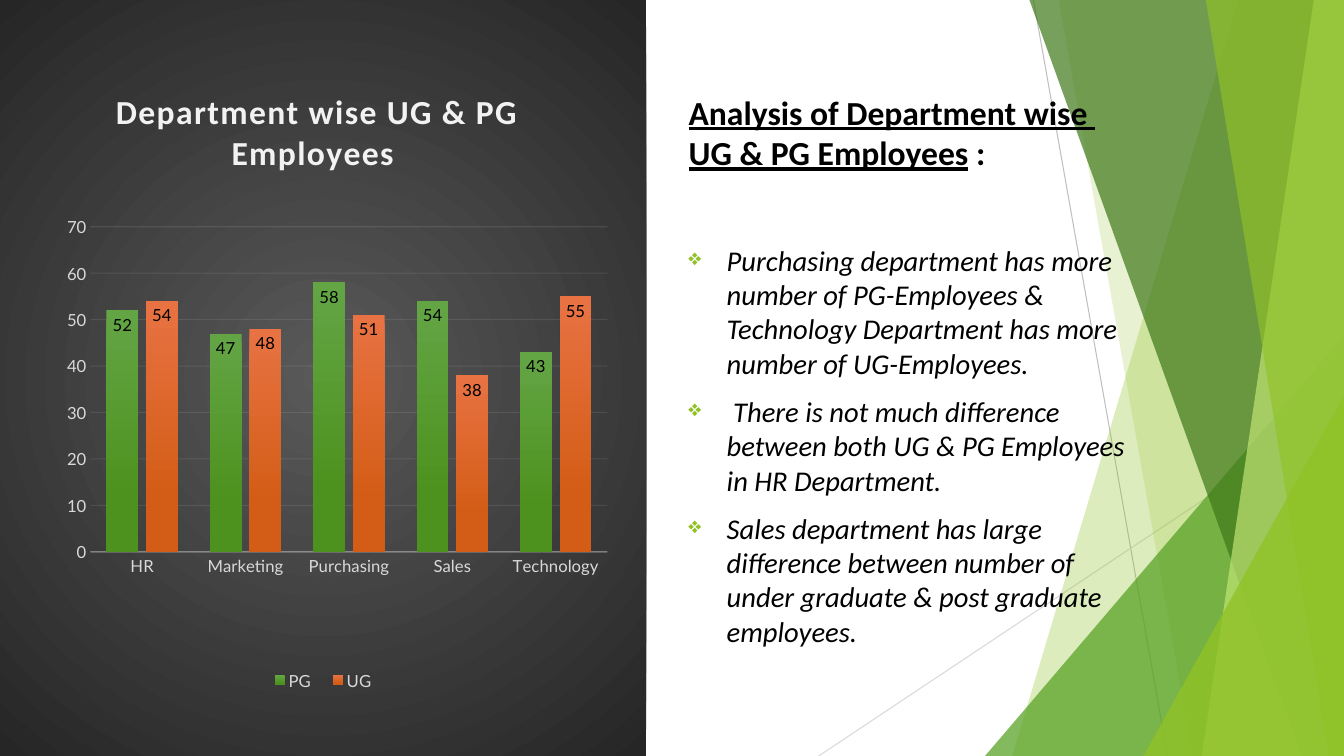
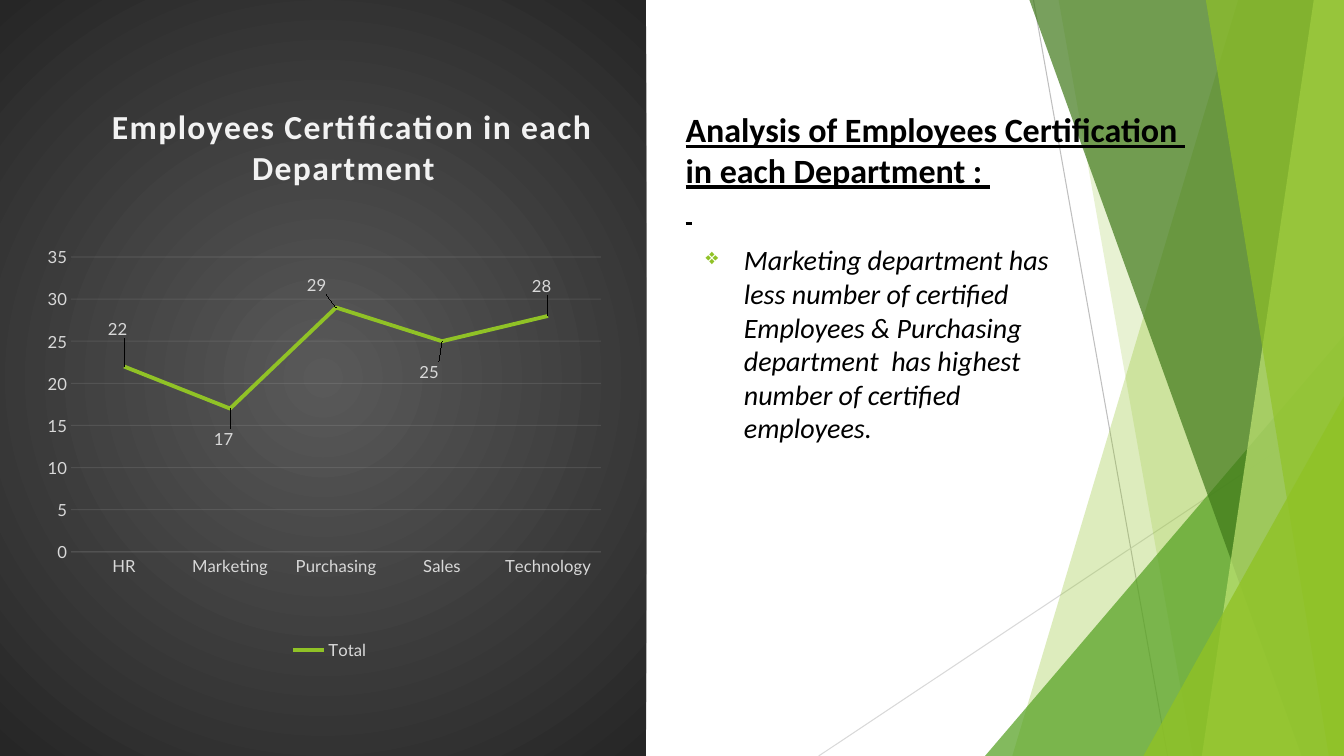
from dataclasses import dataclass

from pptx import Presentation
from pptx.chart.data import CategoryChartData
from pptx.dml.color import RGBColor
from pptx.enum.chart import XL_CHART_TYPE, XL_LABEL_POSITION, XL_LEGEND_POSITION, XL_TICK_MARK
from pptx.enum.shapes import MSO_CONNECTOR, MSO_SHAPE
from pptx.enum.text import MSO_ANCHOR, MSO_AUTO_SIZE, PP_ALIGN
from pptx.oxml import parse_xml
from pptx.oxml.ns import nsdecls, qn
from pptx.util import Inches, Pt

WIDE, HIGH = 13.33, 7.5
BLACK = RGBColor(0x00, 0x00, 0x00)
PALE = RGBColor(0xF2, 0xF2, 0xF2)
SILVER = RGBColor(0xD9, 0xD9, 0xD9)
GREY = RGBColor(0xBF, 0xBF, 0xBF)
LIME = RGBColor(0x90, 0xC2, 0x26)
LEAF = RGBColor(0x54, 0xA0, 0x21)
PINE = RGBColor(0x3F, 0x78, 0x19)
MINT = RGBColor(0xC0, 0xE4, 0x74)
SLATE = RGBColor(0x59, 0x59, 0x59)
COAL = RGBColor(0x26, 0x26, 0x26)
GREENS = (RGBColor(0x63, 0xA5, 0x45), RGBColor(0x4D, 0x92, 0x1E))
RUSTS = (RGBColor(0xE8, 0x72, 0x42), RGBColor(0xD3, 0x5D, 0x16))

TEXT_FONT, CHART_FONT = "Calibri", "Lato"
LABEL_SIZE = 11.9
TEAMS = ("HR", "Marketing", "Purchasing", "Sales", "Technology")


@dataclass
class Band:
    """Strip from a slanted left edge to the right side of the slide."""
    top: float
    base: float
    color: RGBColor
    alpha: int


@dataclass
class Wedge:
    """Right triangle in the lower right corner."""
    left: float
    top: float
    color: RGBColor
    alpha: int


@dataclass
class Ray:
    start: tuple[float, float]
    end: tuple[float, float]
    color: RGBColor


@dataclass
class Graph:
    kind: XL_CHART_TYPE
    title: str
    series: dict[str, tuple[int, ...]]
    top: int
    step: int
    title_at: tuple[float, float]
    plot_at: tuple[float, float, float, float]
    key_at: tuple[float, float, float, float]
    base_alpha: int


RAYS = (Ray((10.25, 0), (11.58, HIGH), GREY), Ray((WIDE, 4.03), (8.12, HIGH), SILVER))
DECOR = (
    Band(12.28, 10.04, LIME, 30),
    Band(10.5, 11.83, LIME, 20),
    Wedge(9.77, 3.33, LEAF, 72),
    Band(10.21, 12.91, PINE, 70),
    Band(13.03, 11.92, MINT, 70),
    Band(11.96, 13.18, LIME, 65),
    Wedge(11.34, 3.93, LIME, 80),
)
DEGREES = Graph(
    XL_CHART_TYPE.COLUMN_CLUSTERED, "Department wise UG & PG Employees ",
    {"PG": (52, 47, 58, 54, 43), "UG": (54, 48, 51, 38, 55)}, 70, 10,
    (0.17, 0.11), (0.14, 0.3, 0.8, 0.43), (0.4, 0.88, 0.2, 0.04), 54)
CERTS = Graph(
    XL_CHART_TYPE.LINE, " Employees Certification in each Department ",
    {"Total": (22, 17, 29, 25, 28)}, 35, 5,
    (0.15, 0.13), (0.11, 0.34, 0.82, 0.39), (0.43, 0.84, 0.16, 0.04), 10)
SHIFTS = ((-0.01, -0.05), (-0.01, 0.04), (-0.03, -0.03), (-0.02, 0.04), (-0.01, -0.04))


def fade(node, route: str, alpha: int) -> None:
    """Set the opacity, in percent, of the colours found under node."""
    for color in node.xpath(f"{route}//a:srgbClr"):
        color.append(parse_xml(f'<a:alpha {nsdecls("a")} val="{alpha * 1000}"/>'))


def place(node, spot: int, box: tuple, mode: str = "edge", inner: bool = False) -> None:
    """Give a chart part a manual layout, as child number spot."""
    for old in node.findall(qn("c:layout")):
        node.remove(old)
    target = '<c:layoutTarget val="inner"/>' if inner else ""
    sides = "".join(f'<c:{side} val="{size}"/>' for side, size in zip("xywh", box))
    node.insert(spot, parse_xml(
        f'<c:layout {nsdecls("c")}><c:manualLayout>{target}<c:xMode val="{mode}"/>'
        f'<c:yMode val="{mode}"/>{sides}</c:manualLayout></c:layout>'))


def style(font, size: float, color: RGBColor, name: str = CHART_FONT) -> None:
    font.name, font.size = name, Pt(size)
    font.color.rgb = color


def write(para, text: str, *, size: float, color: RGBColor = BLACK, bold: bool = False,
          italic: bool = False, under: bool = False, track: int = 0) -> None:
    """Add text to a paragraph; a newline becomes a line break."""
    for row, line in enumerate(text.split("\n")):
        if row:
            para.add_line_break()
        if not line:
            continue
        run = para.add_run()
        run.text = line
        style(run.font, size, color, TEXT_FONT)
        run.font.bold, run.font.italic, run.font.underline = bold, italic, under
        if track:
            run.font._element.set("spc", str(track))


def draw_decor(slide, layout) -> None:
    """Draw the green facets and move them to the layout all slides share."""
    parts = []
    for ray in RAYS:
        line = slide.shapes.add_connector(
            MSO_CONNECTOR.STRAIGHT, *map(Inches, ray.start + ray.end))
        line.line.color.rgb, line.line.width = ray.color, Pt(0.75)
        line._element.spPr.append(parse_xml(f'<a:effectLst {nsdecls("a")}/>'))
        parts.append(line)
    for item in DECOR:
        if isinstance(item, Band):
            pen = slide.shapes.build_freeform(Inches(item.top), 0)
            pen.add_line_segments([(Inches(x), Inches(y)) for x, y in (
                (WIDE, 0), (WIDE, HIGH), (item.base, HIGH))])
            shape = pen.convert_to_shape()
        else:
            shape = slide.shapes.add_shape(
                MSO_SHAPE.ISOSCELES_TRIANGLE, Inches(item.left), Inches(item.top),
                Inches(WIDE - item.left), Inches(HIGH - item.top))
            shape.adjustments[0] = 1
        shape.shadow.inherit = False
        shape.fill.solid()
        shape.fill.fore_color.rgb = item.color
        shape.line.fill.background()
        fade(shape._element, "p:spPr/a:solidFill", item.alpha)
        parts.append(shape)
    for rank, part in enumerate(parts):
        part._element.xpath(".//p:cNvPr")[0].set("id", str(100 + rank))
        layout.shapes._spTree.insert(2 + rank, part._element)


def set_title(slide, left: float, top: float, width: float):
    """Place the title and return its paragraph."""
    title = slide.shapes.title
    title.left, title.top = Inches(left), Inches(top)
    title.width, title.height = Inches(width), Inches(0.94)
    frame = title.text_frame
    frame.auto_size, frame.word_wrap = MSO_AUTO_SIZE.NONE, True
    frame.vertical_anchor = MSO_ANCHOR.TOP
    para = frame.paragraphs[0]
    para.alignment = PP_ALIGN.LEFT
    return para


def add_points(slide, left: float, width: float, height: float, size: float,
               points: tuple[str, ...]) -> None:
    box = slide.shapes.add_textbox(Inches(left), Inches(2.36), Inches(width), Inches(height))
    frame = box.text_frame
    frame.word_wrap = True
    for rank, point in enumerate(points):
        para = frame.add_paragraph() if rank else frame.paragraphs[0]
        para.space_after = Pt(10)
        props = para._p.get_or_add_pPr()
        props.set("marL", str(Inches(0.38)))
        props.set("indent", str(-Inches(0.38)))
        for mark in (f'buClr {nsdecls("a")}><a:srgbClr val="{LIME}"/></a:buClr',
                     f'buSzPct {nsdecls("a")} val="80000"/',
                     f'buChar {nsdecls("a")} char="❖"/'):
            props.append(parse_xml(f"<a:{mark}>"))
        write(para, point, size=size, italic=True)


def add_graph(slide, graph: Graph):
    """Add the dark chart panel on the left and return its chart."""
    data = CategoryChartData()
    data.categories = TEAMS
    for name, values in graph.series.items():
        data.add_series(name, values)
    chart = slide.shapes.add_chart(
        graph.kind, 0, 0, Inches(6.41), Inches(HIGH), data).chart
    style(chart.font, LABEL_SIZE, SILVER)
    chart._chartSpace.chart.addnext(parse_xml(
        f'<c:spPr {nsdecls("c", "a")}><a:gradFill><a:gsLst>'
        f'<a:gs pos="0"><a:srgbClr val="{SLATE}"/></a:gs>'
        f'<a:gs pos="100000"><a:srgbClr val="{COAL}"/></a:gs></a:gsLst>'
        '<a:path path="circle"><a:fillToRect l="50000" t="50000" r="50000" b="50000"/>'
        '</a:path></a:gradFill><a:ln><a:noFill/></a:ln></c:spPr>'))

    chart.has_title = True
    para = chart.chart_title.text_frame.paragraphs[0]
    write(para, graph.title, size=24, color=PALE, bold=True, track=100)
    place(chart.chart_title._element, 1, graph.title_at)
    place(chart._chartSpace.chart.plotArea, 0, graph.plot_at, inner=True)
    chart.has_legend = True
    chart.legend.position = XL_LEGEND_POSITION.BOTTOM
    chart.legend.include_in_layout = False
    style(chart.legend.font, LABEL_SIZE, SILVER)
    place(chart.legend._element, 1, graph.key_at)

    base, scale = chart.category_axis, chart.value_axis
    for axis in (base, scale):
        axis.major_tick_mark = axis.minor_tick_mark = XL_TICK_MARK.NONE
        style(axis.tick_labels.font, LABEL_SIZE, SILVER)
    scale.minimum_scale, scale.maximum_scale, scale.major_unit = 0, graph.top, graph.step
    scale.format.line.fill.background()
    scale.has_major_gridlines = True
    for line in (base.format.line, scale.major_gridlines.format.line):
        line.color.rgb, line.width = PALE, Pt(0.75)
    fade(base._element, "c:spPr", graph.base_alpha)
    fade(scale._element, "c:majorGridlines", 10)
    chart.plots[0].vary_by_categories = False
    return chart


def add_labels(series, color: RGBColor, spot: XL_LABEL_POSITION) -> None:
    labels = series.data_labels
    labels.show_value, labels.position = True, spot
    style(labels.font, LABEL_SIZE, color)


def build_degrees(slide) -> None:
    para = set_title(slide, 6.73, 0.86, 4.55)
    write(para, "Analysis of Department wise \nUG & PG Employees", size=24, bold=True, under=True)
    write(para, " :", size=24, bold=True)
    plot = add_graph(slide, DEGREES).plots[0]
    plot.gap_width, plot.overlap = 100, -24
    for series, shades in zip(plot.series, (GREENS, RUSTS)):
        fill = series.format.fill
        fill.gradient()
        fill.gradient_angle = 270
        for stop, shade, spot in zip(fill.gradient_stops, shades, (0, 0.78)):
            stop.color.rgb, stop.position = shade, spot
        add_labels(series, BLACK, XL_LABEL_POSITION.INSIDE_END)
    add_points(slide, 6.73, 4.73, 3.94, 20.4, (
        "Purchasing department has more number of PG-Employees & "
        "Technology Department has more number of UG-Employees.",
        " There is not much difference between both UG & PG Employees in HR Department.",
        "Sales department has large difference between number of "
        "under graduate & post graduate employees."))


def build_certs(slide) -> None:
    para = set_title(slide, 6.7, 1.03, 6.08)
    write(para, "Analysis of Employees Certification \nin each Department : \n",
          size=24.3, bold=True, under=True)
    write(para, " ", size=21.6, bold=True, under=True)
    series = add_graph(slide, CERTS).plots[0].series[0]
    series.smooth = False
    series.format.line.color.rgb, series.format.line.width = LIME, Pt(2.75)
    add_labels(series, SILVER, XL_LABEL_POSITION.CENTER)
    for rank in range(len(TEAMS)):
        label = series.points[rank].data_label
        label.position = XL_LABEL_POSITION.CENTER
        style(label.font, LABEL_SIZE, SILVER)
    for node, shift in zip(series._element.xpath("c:dLbls/c:dLbl"), SHIFTS):
        place(node, 1, shift, mode="factor")
    add_points(slide, 6.9, 3.95, 2.98, 20, (
        "Marketing department has less number of certified Employees & "
        "Purchasing department  has highest number of certified employees.",))


def main() -> None:
    deck = Presentation()
    deck.slide_width, deck.slide_height = Inches(WIDE), Inches(HIGH)
    layout = deck.slide_layouts[5]
    first, second = (deck.slides.add_slide(layout) for _ in range(2))
    draw_decor(first, layout)
    build_degrees(first)
    build_certs(second)
    deck.save("out.pptx")


if __name__ == "__main__":
    main()
